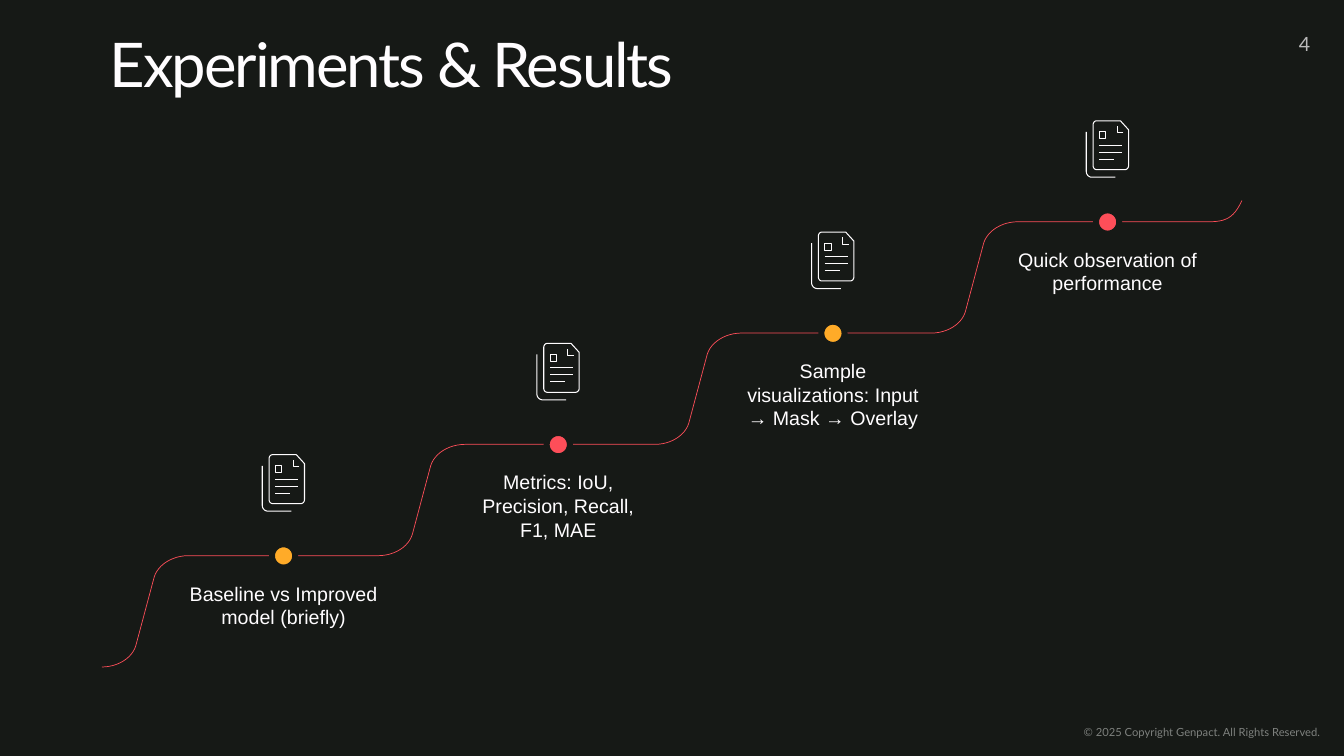
from pptx import Presentation
from pptx.dml.color import RGBColor
from pptx.enum import shapes, text
from pptx.oxml import xmlchemy
from pptx.util import Pt

theme = {
    "background": RGBColor.from_string("161916"),
    "white": RGBColor.from_string("FFFDFF"),
    "red": RGBColor.from_string("FD4E59"),
    "amber": RGBColor.from_string("FFAB28"),
    "page": RGBColor.from_string("BABABA"),
    "footer": RGBColor.from_string("7E817E"),
    "title_size": Pt(44),
    "body_size": Pt(14),
    "footer_size": Pt(8),
    "heading_font": "Lato",
    "body_font": "Arial",
}


def add_text(parent, box, content, font, size, color, align):
    sp = parent.add_textbox(*[Pt(v) for v in box])
    tf = sp.text_frame
    tf.word_wrap = True
    tf.margin_left = tf.margin_right = tf.margin_top = tf.margin_bottom = 0
    tf.text = content
    p = tf.paragraphs[0]
    p.alignment = align
    r = p.runs[0]
    r.font.name, r.font.size = font, size
    r.font.color.rgb = color
    return tf


def add_outline(parent, x, y, nodes, color, width, close=False):
    points = [nodes[0]]
    for node in nodes[1:]:
        if len(node) == 2:
            points.append(node)
            continue
        x0, y0 = points[-1]
        x1, y1, x2, y2, x3, y3 = node
        for i in range(1, 13):
            t = i / 12
            a, b, c, d = (1 - t) ** 3, 3 * t * (1 - t) ** 2, 3 * t * t * (1 - t), t ** 3
            points.append((a * x0 + b * x1 + c * x2 + d * x3,
                           a * y0 + b * y1 + c * y2 + d * y3))
    points = [(Pt(x + px), Pt(y + py)) for px, py in points]
    builder = parent.build_freeform(*points[0], scale=1.0)
    builder.add_line_segments(points[1:], close=close)
    sp = builder.convert_to_shape()
    sp.shadow.inherit = False
    sp.fill.background()
    sp.line.color.rgb = color
    sp.line.width = Pt(width)


prs = Presentation()
prs.slide_width, prs.slide_height = Pt(960), Pt(540)
s = prs.slides.add_slide(prs.slide_layouts[6])
s.background.fill.solid()
s.background.fill.fore_color.rgb = theme["background"]

left, center, right = text.PP_ALIGN.LEFT, text.PP_ALIGN.CENTER, text.PP_ALIGN.RIGHT
add_text(s.shapes, (895, 23, 41, 17.3), "4", theme["heading_font"],
         theme["body_size"], theme["page"], right)
tf = add_text(s.shapes, (774, 501.1, 172.1, 26.6),
              "© 2025 Copyright Genpact. All Rights Reserved.",
              theme["heading_font"], theme["footer_size"], theme["footer"], left)
tf.vertical_anchor = text.MSO_ANCHOR.BOTTOM
tf = add_text(s.shapes, (78.5, 28.8, 838, 42.5), "Experiments & Results",
              theme["heading_font"], theme["title_size"], theme["white"], left)
tf.paragraphs[0].line_spacing = 0.8
tf.paragraphs[0].runs[0].font._element.set("spc", "-150")

stair = [(0, 0)]
for step in range(4):
    x, y = step * 197.5, step * -79.5
    stair += [
        (x, y),
        (x + 11.5, y, x + 21.6, y - 6.5, x + 24.2, y - 15.1),
        (x + 37.4, y - 64.4),
        (x + 40.1, y - 73, x + 50.3, y - 79.5, x + 61.8, y - 79.5),
    ]
stair += [(790.5, -318), (802, -318, 808.5, -320.2, 814.3, -333.2)]
add_outline(s.shapes, 72.8, 476.4, stair, theme["red"], 0.5)

page = [(4.9, 32), (4.9, 2.9), (4.9, 1.3, 6, 0, 7.4, 0), (24.4, 0), (30.2, 6.4),
        (30.2, 32), (30.2, 33.6, 29.1, 34.9, 27.6, 34.9), (7.4, 34.9),
        (6, 34.9, 4.9, 33.6, 4.9, 32)]
fold = [(26.6, 8.6), (22.2, 8.6), (22.2, 3.7)]
square = [(9.4, 7.9), (14, 7.9), (14, 12.8), (9.4, 12.8)]
back_page = [(20.9, 40.3), (4, 40.3), (1.8, 40.3, 0, 38.4, 0, 36), (0, 7.9)]
icon_parts = [(page, True), (fold, False), (square, True), (back_page, False)]
text_rules = [(17.4, 16.3), (22.4, 16.3), (27.4, 10.6)]

stages = [
    ("Baseline vs Improved model (briefly)", 147.6, 34, "amber"),
    ("Metrics: IoU, Precision, Recall, F1, MAE", 126.8, 51, "red"),
    ("Sample visualizations: Input → Mask → Overlay", 124.4, 51, "amber"),
    ("Quick observation of performance", 131, 34, "red"),
]
dot = 16.6
for step, (label, width, height, color) in enumerate(stages):
    x, y = 202.6 + step * 196.2, 397.1 - step * 79.5
    group = s.shapes.add_group_shape().shapes
    icon_x, icon_y = x - 15.3, y - 72.3
    for nodes, close in icon_parts:
        add_outline(group, icon_x, icon_y, nodes, theme["white"], 0.75, close)
    for rule_y, length in text_rules:
        rule = group.add_connector(
            shapes.MSO_CONNECTOR.STRAIGHT, Pt(icon_x + 9.4), Pt(icon_y + rule_y),
            Pt(icon_x + 9.4 + length), Pt(icon_y + rule_y))
        rule.line.color.rgb = theme["white"]
        rule.line.width = Pt(0.75)
        rule._element.spPr.append(xmlchemy.OxmlElement("a:effectLst"))
    tf = add_text(group, (x - width / 2, y + 18.4, width, height), label,
                  theme["body_font"], theme["body_size"], theme["white"], center)
    tf.paragraphs[0].space_after = Pt(6)
    sp = group.add_shape(shapes.MSO_SHAPE.OVAL, Pt(x - dot / 2), Pt(y - dot / 2),
                         Pt(dot), Pt(dot))
    sp.shadow.inherit = False
    sp.fill.solid()
    sp.fill.fore_color.rgb = theme[color]
    sp.line.color.rgb = theme["background"]
    sp.line.width = Pt(4.25)

prs.save("out.pptx")
